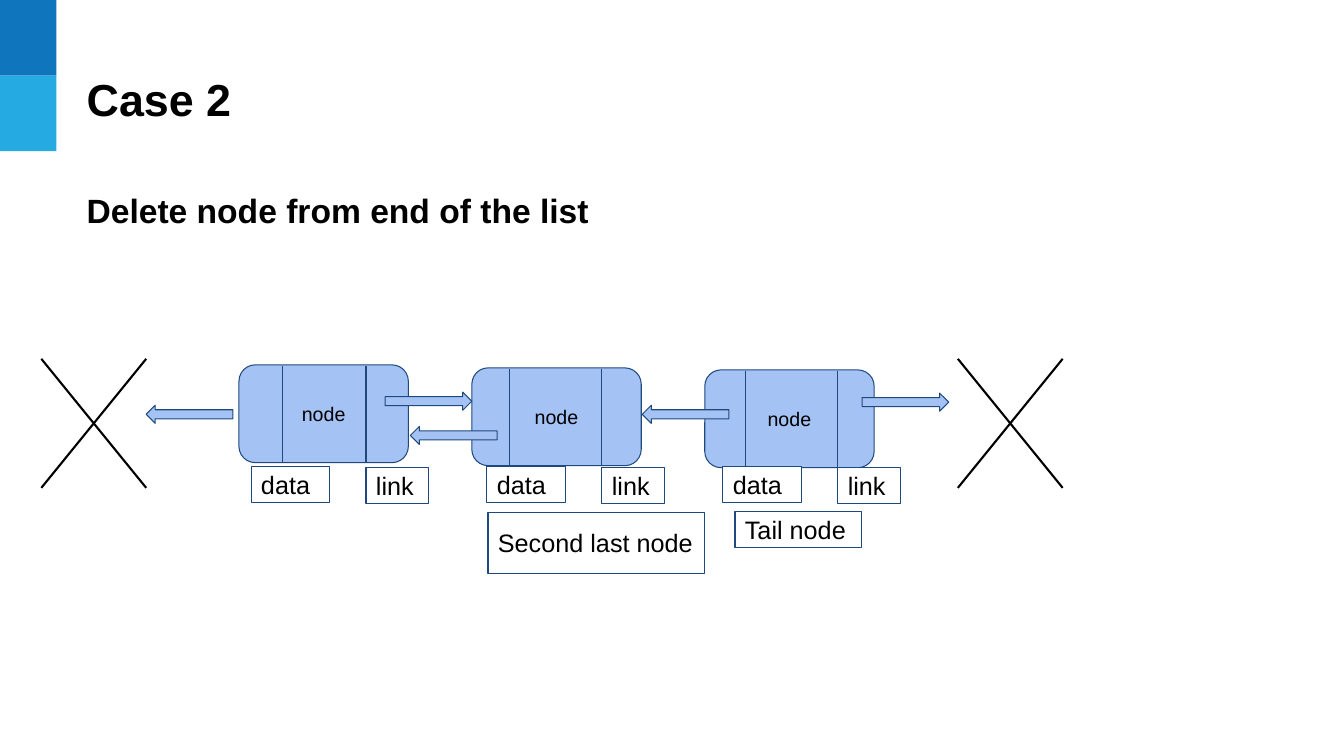
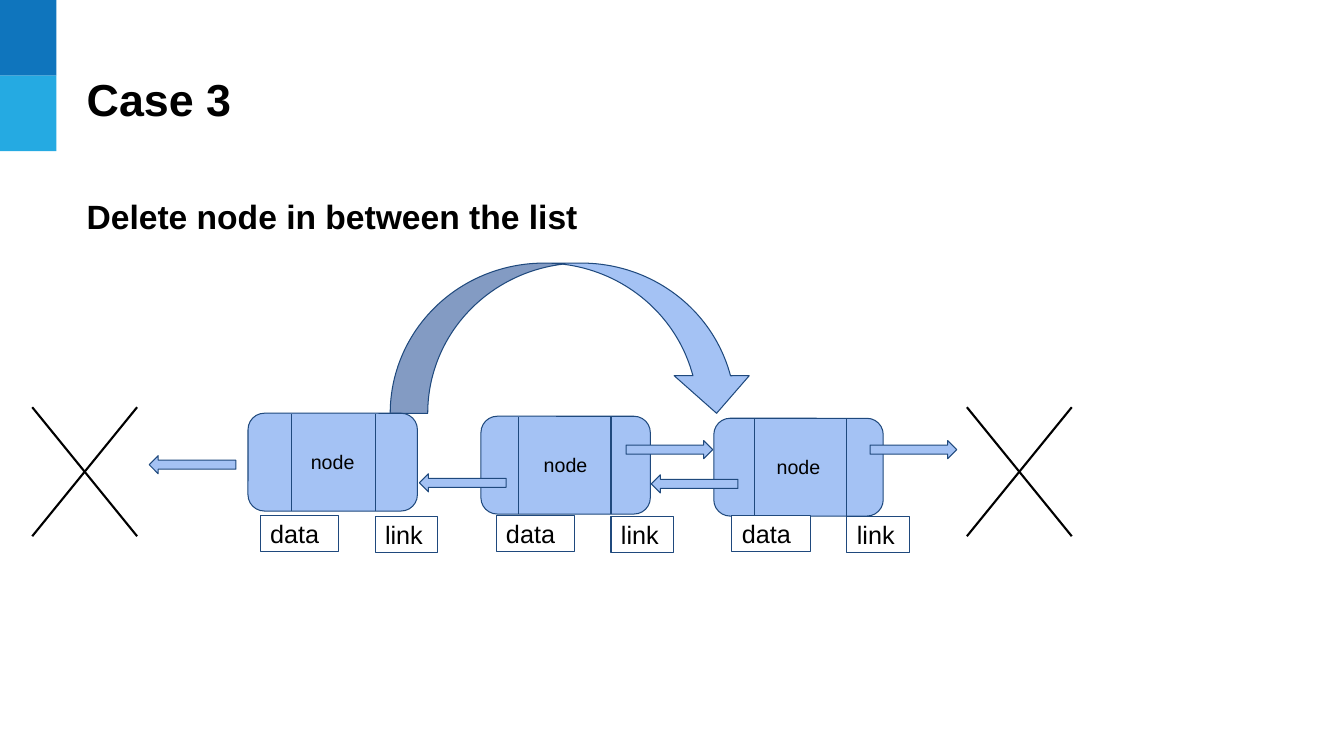
from dataclasses import dataclass

from lxml.etree import SubElement
from pptx import Presentation
from pptx.dml.color import RGBColor
from pptx.enum.shapes import MSO_CONNECTOR, MSO_SHAPE
from pptx.enum.text import MSO_ANCHOR, MSO_AUTO_SIZE, PP_ALIGN
from pptx.oxml.ns import qn
from pptx.util import Pt


@dataclass(frozen=True)
class Theme:
    font: str = "Arial"
    ink: str = "000000"
    paper: str = "FFFFFF"
    node: str = "A4C2F4"
    edge: str = "1F497D"
    bands: tuple = ("0F75BD", "25AAE2")
    title: int = 32
    lead: int = 24
    label: int = 18
    small: int = 14
    thin: float = 0.75
    thick: float = 1.5


THEME = Theme()
SCALE = 9144  # EMU in one px, 100 px to the inch

NODE_W, NODE_H = 168, 97
NODES = ((0, 0, 43), (231, 3, 268), (462, 5, 502))  # left, top, first divider
LABEL_GAP = 234
LABEL_H = 36
ARROW_W, ARROW_H = 86, 18
CROSS_W, CROSS_H = 104, 128
RIGHT, LEFT = MSO_SHAPE.RIGHT_ARROW, MSO_SHAPE.LEFT_ARROW


def px(*sizes):
    return [size * SCALE for size in sizes]


def color(code):
    return RGBColor.from_string(code)


def write(frame, text, size, bold=False, align=PP_ALIGN.LEFT,
          anchor=MSO_ANCHOR.MIDDLE, pad=10):
    """Put one run in a frame; pad is the top and bottom margin."""
    frame.word_wrap = True
    frame.auto_size = MSO_AUTO_SIZE.NONE
    frame.vertical_anchor = anchor
    frame.margin_left, frame.margin_right = px(10, 10)
    frame.margin_top, frame.margin_bottom = px(pad, pad)
    para = frame.paragraphs[0]
    para.alignment = align
    run = para.add_run()
    run.text = text
    run.font.name = THEME.font
    run.font.size = Pt(size)
    run.font.bold = bold
    run.font.color.rgb = color(THEME.ink)


def add_block(slide, kind, box, fill, edge=THEME.edge):
    block = slide.shapes.add_shape(kind, *px(*box))
    block.shadow.inherit = False
    block.fill.solid()
    block.fill.fore_color.rgb = color(fill)
    if edge:
        block.line.color.rgb = color(edge)
        block.line.width = Pt(THEME.thin)
    else:
        block.line.fill.background()
    return block


def add_line(slide, start, end, tint, width):
    line = slide.shapes.add_connector(
        MSO_CONNECTOR.STRAIGHT, *px(*start, *end))
    line.line.color.rgb = color(tint)
    line.line.width = Pt(width)
    SubElement(line.element.spPr, qn("a:effectLst"))


def add_label(slide, text, box):
    label = add_block(slide, MSO_SHAPE.RECTANGLE, box, THEME.paper)
    write(label.text_frame, text, THEME.label)


def add_cross(slide, x, y):
    end_x, end_y = x + CROSS_W, y + CROSS_H
    for top, low in ((y, end_y), (end_y, y)):
        add_line(slide, (x, top), (end_x, low), THEME.ink, THEME.thick)


def add_bands(slide):
    """Draw the corner bands and move them to the layout."""
    tree = slide.slide_layout.shapes.element
    for row, fill in enumerate(THEME.bands):
        band = add_block(slide, MSO_SHAPE.RECTANGLE,
                         (0, 75 * row, 56, 75), fill, None)
        band.element.nvSpPr.cNvPr.set("id", str(100 + row))
        tree.append(band.element)


def add_heads(slide, title, lead, lead_y):
    head = slide.shapes.title
    head.left, head.top, head.width, head.height = px(76, 53, 875, 90)
    write(head.text_frame, title, THEME.title, True, pad=5)
    box = slide.shapes.add_textbox(*px(76, lead_y, 1015, 61))
    write(box.text_frame, lead, THEME.lead, True, anchor=MSO_ANCHOR.TOP)


def add_list(slide, x, y, arrows, end_x):
    """Draw the linked list from x, y; end_x is the left cross."""
    for left, top, _ in NODES:
        node = add_block(slide, MSO_SHAPE.ROUNDED_RECTANGLE,
                         (x + left, y + top, NODE_W, NODE_H), THEME.node)
        write(node.text_frame, "node", THEME.small, align=PP_ALIGN.CENTER)
    for index, (_, top, first) in enumerate(NODES):
        shift = x + index * LABEL_GAP
        link_x = shift + 126
        for cut in (x + first, link_x):
            add_line(slide, (cut, y + top + 1), (cut, y + top + NODE_H),
                     THEME.edge, THEME.thin)
        add_label(slide, "data", (shift + 12, y + 101, 78, LABEL_H))
        add_label(slide, "link", (link_x, y + 102, 62, LABEL_H))
    for kind, left, top in arrows:
        add_block(slide, kind, (left, top, ARROW_W, ARROW_H), THEME.node)
    for cross_x in (end_x, x + 713):
        add_cross(slide, cross_x, y - 6)


def add_tail_case(slide):
    add_heads(slide, "Case 2", "Delete node from end of the list", 178)
    arrows = ((RIGHT, 382, 389), (RIGHT, 855, 390), (LEFT, 407, 423),
              (LEFT, 145, 402), (LEFT, 637, 402))
    add_list(slide, 237, 362, arrows, 41)
    add_label(slide, "Tail node", (729, 507, 126, LABEL_H))
    add_label(slide, "Second last node", (484, 508, 215, 61))


def add_middle_case(slide):
    add_block(slide, MSO_SHAPE.CURVED_DOWN_ARROW,
              (387, 261, 361, 149), THEME.node)
    add_heads(slide, "Case 3", "Delete node in between the list", 184)
    arrows = ((RIGHT, 621, 437), (RIGHT, 863, 437), (LEFT, 416, 470),
              (LEFT, 646, 471), (LEFT, 148, 452))
    add_list(slide, 246, 410, arrows, 32)


def main():
    deck = Presentation()
    deck.slide_width, deck.slide_height = px(1333, 750)
    layout = deck.slide_layouts.get_by_name("Title Only")
    first, second = [deck.slides.add_slide(layout) for _ in range(2)]
    add_bands(first)
    add_tail_case(first)
    add_middle_case(second)
    deck.save("out.pptx")


if __name__ == "__main__":
    main()
